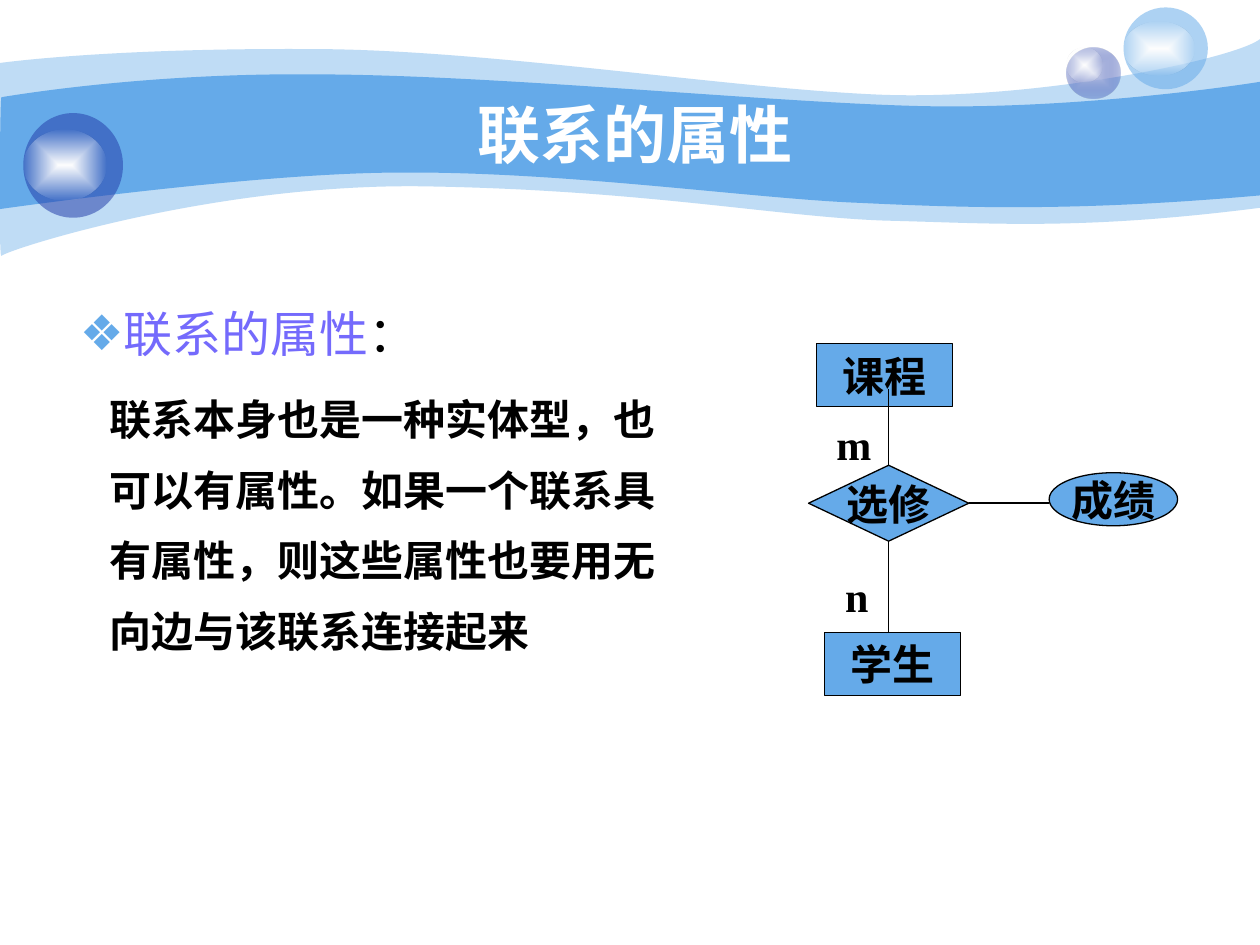
"""Build a slide on the attributes of a relationship in an E-R diagram."""
from typing import NamedTuple

from lxml import etree
from pptx import Presentation
from pptx import util as u
from pptx.dml.color import RGBColor
from pptx.enum import lang, shapes, text
from pptx.oxml.ns import qn

HUES = {"sky": "65AAE9", "navy": "233DA9", "mist": "C7CEE9", "white": "FFFFFF",
        "black": "000000", "violet": "746AFC"}
KIND = shapes.MSO_SHAPE
MID = text.MSO_ANCHOR.MIDDLE
MAIN = text.PP_ALIGN.CENTER


class Tint(NamedTuple):
    hue: str
    alpha: int = 100


class Box(NamedTuple):
    left: float
    top: float
    width: float
    height: float


class Wave(NamedTuple):
    tint: Tint
    start: tuple
    steps: list


class Ball(NamedTuple):
    box: Box
    tints: list
    gloss: Box


class Node(NamedTuple):
    kind: KIND
    box: Box
    label: str
    wrap: bool


class Link(NamedTuple):
    x1: float
    y1: float
    x2: float
    y2: float


GLOSS = [Tint("white"), Tint("white", 0)]
WAVES = [
    Wave(Tint("sky", 41), (0, 1.27), [
        (0.61, 1.19, 2.72, 0.97, 6.27, 0.99), (9.8, 0.99, 14.61, 1.78, 17.75, 1.91),
        (20.88, 2.03, 24.89, 1.19, 25.4, 0.79), (25.4, 4.19),
        (21.79, 4.65, 19.99, 4.5, 17.91, 4.45), (15.8, 4.39, 13.08, 3.84, 8.71, 3.76),
        (4.37, 3.66, 0.1, 5.05, 0.03, 5.16), (-0.03, 5.28, 0, 1.9, 0, 1.27)]),
    Wave(Tint("sky"), (0.03, 1.96), [
        (0.05, 1.96, 2.79, 1.47, 6.3, 1.5), (9.8, 1.5, 15.11, 2.03, 18.24, 2.13),
        (21.36, 2.24, 24.79, 1.75, 25.4, 1.65), (25.4, 3.94),
        (21.67, 4.27, 19.43, 4.19, 17.32, 4.09), (15.21, 4.01, 11.35, 3.45, 8.05, 3.48),
        (5.16, 3.48, -0.05, 4.22, -0.03, 4.22), (0, 4.22, 0, 1.96, 0.03, 1.96)]),
]
BALLS = [
    Ball(Box(21.51, 0.97, 1.07, 1.02), [Tint("mist"), Tint("navy", 31)],
         Box(21.51, 0.97, 0.71, 0.69)),
    Ball(Box(22.65, 0.15, 1.7, 1.65), [Tint("sky", 53)], Box(22.65, 0.43, 1.42, 1.09)),
    Ball(Box(0.47, 2.28, 2.01, 2.11), [Tint("navy", 53)], Box(0.47, 2.62, 1.68, 1.42)),
]
NODES = [
    Node(KIND.RECTANGLE, Box(16.46, 6.93, 2.74, 1.27), "课程", True),
    Node(KIND.DIAMOND, Box(16.3, 9.38, 3.23, 1.53), "选修", False),
    Node(KIND.RECTANGLE, Box(16.62, 12.75, 2.74, 1.27), "学生", True),
    Node(KIND.OVAL, Box(21.15, 9.53, 2.59, 1.07), "成绩", False),
]
LINKS = [Link(17.91, 9.38, 17.91, 7.85), Link(17.91, 10.91, 17.91, 12.75),
         Link(19.53, 10.14, 21.15, 10.14)]
MARKS = [(Box(16.61, 8.31, 0.81, 1.27), "m"), (Box(16.79, 11.38, 0.81, 1.27), "n")]


def rgb(hue: str) -> RGBColor:
    """Look up a colour by name."""
    return RGBColor.from_string(HUES[hue])


def place(box) -> list:
    """Turn a group of numbers into lengths."""
    return [u.Cm(side) for side in box]


def paint(shape, tints: list) -> None:
    """Fill a shape with one tint, or with two from its centre outwards."""
    shape.shadow.inherit = False
    shape.line.fill.background()
    fill = shape.fill
    if len(tints) == 1:
        fill.solid()
        fill.fore_color.rgb = rgb(tints[0].hue)
        root = shape._element.spPr.find(qn("a:solidFill"))
    else:
        fill.gradient()
        for spot, (stop, tint) in enumerate(zip(fill.gradient_stops, tints)):
            stop.position = spot
            stop.color.rgb = rgb(tint.hue)
        root = shape._element.spPr.find(qn("a:gradFill"))
        root.remove(root.find(qn("a:lin")))
        ring = etree.SubElement(root, qn("a:path"), path="rect")
        etree.SubElement(ring, qn("a:fillToRect"), dict.fromkeys("ltrb", "50000"))
    for node, tint in zip(root.iter(qn("a:srgbClr")), tints):
        if tint.alpha < 100:
            etree.SubElement(node, qn("a:alpha"), val=str(tint.alpha * 1000))


def write(para, words: str, size: int = 24, hue: str = "black", bold: bool = True,
          face: str = "Times New Roman", align=None) -> None:
    """Add a formatted run to a paragraph."""
    if align is not None:
        para.alignment = align
    run = para.add_run()
    run.text = words
    font = run.font
    font.size, font.bold, font.name = u.Pt(size), bold, face
    font.color.rgb = rgb(hue)
    font.language_id = lang.MSO_LANGUAGE_ID.SIMPLIFIED_CHINESE


def frame(slide, box: Box):
    """Add a wrapping text box and return its frame."""
    area = slide.shapes.add_textbox(*place(box)).text_frame
    area.word_wrap = True
    return area


def flow(slide, wave: Wave) -> None:
    """Draw a wave band, turning each triple of points into a curve."""
    pen = slide.shapes.build_freeform(*place(wave.start))
    for step in wave.steps:
        ends = place(step)
        pen.add_line_segments(list(zip(ends[::2], ends[1::2])), close=False)
    pen.add_line_segments([], close=True)
    shape = pen.convert_to_shape()
    lines = shape._element.spPr.iter(qn("a:lnTo"))
    queue = iter(list(lines))
    for step in wave.steps:
        head = next(queue)
        if len(step) == 2:
            continue
        bend = etree.Element(qn("a:cubicBezTo"))
        head.addprevious(bend)
        for line in (head, next(queue), next(queue)):
            bend.append(line[0])
            line.getparent().remove(line)
    paint(shape, [wave.tint])


def orb(slide, ball: Ball) -> None:
    """Draw a ball with its gloss."""
    for box, tints in ((ball.box, ball.tints), (ball.gloss, GLOSS)):
        paint(slide.shapes.add_shape(KIND.OVAL, *place(box)), tints)


def draw(slide, node: Node) -> None:
    """Draw a labelled diagram node."""
    shape = slide.shapes.add_shape(node.kind, *place(node.box))
    paint(shape, [Tint("sky")])
    shape.line.color.rgb, shape.line.width = rgb("black"), u.Pt(0.75)
    area = shape.text_frame
    area.word_wrap, area.vertical_anchor = node.wrap, MID
    write(area.paragraphs[0], node.label, align=MAIN)


def join(slide, link: Link) -> None:
    """Draw a plain line between nodes."""
    line = slide.shapes.add_connector(shapes.MSO_CONNECTOR.STRAIGHT, *place(link))
    line.line.color.rgb, line.line.width = rgb("black"), u.Pt(0.75)
    etree.SubElement(line._element.spPr, qn("a:effectLst"))


def body(slide) -> None:
    """Write the bulleted heading and its explanation."""
    area = frame(slide, Box(0.69, 5.53, 13.41, 9.02))
    head, note = area.paragraphs[0], area.add_paragraph()
    for para, dent in ((head, -0.6), (note, 0)):
        props = para._p.get_or_add_pPr()
        props.set("marL", str(u.Cm(1.27)))
        props.set("indent", str(u.Cm(dent)))
        para.line_spacing = 1.4
    props = head._p.get_or_add_pPr()
    tone = etree.SubElement(props, qn("a:buClr"))
    etree.SubElement(tone, qn("a:srgbClr"), val=HUES["sky"])
    etree.SubElement(props, qn("a:buFont"), typeface="Arial")
    etree.SubElement(props, qn("a:buChar"), char="❖")
    note.space_before = u.Pt(6)
    write(head, "联系的属性", size=28, hue="violet", bold=False)
    write(head, "：", size=28, bold=False)
    write(note, "联系本身也是一种实体型，也可以有属性。如果一个联系具有属性，"
                "则这些属性也要用无向边与该联系连接起来")


def main() -> None:
    """Build and save the slide."""
    deck = Presentation()
    deck.slide_width, deck.slide_height = u.Cm(25.4), u.Cm(19.05)
    slide = deck.slides.add_slide(deck.slide_layouts[6])
    for tool, items in ((flow, WAVES), (orb, BALLS)):
        for item in items:
            tool(slide, item)
    title = frame(slide, Box(2.54, 1.91, 20.52, 1.57))
    title.vertical_anchor = MID
    write(title.paragraphs[0], "联系的属性", size=36, hue="white", face="Arial", align=MAIN)
    for tool, items in ((draw, NODES), (join, LINKS)):
        for item in items:
            tool(slide, item)
    for box, mark in MARKS:
        write(frame(slide, box).paragraphs[0], mark)
    body(slide)
    deck.save("out.pptx")


if __name__ == "__main__":
    main()
